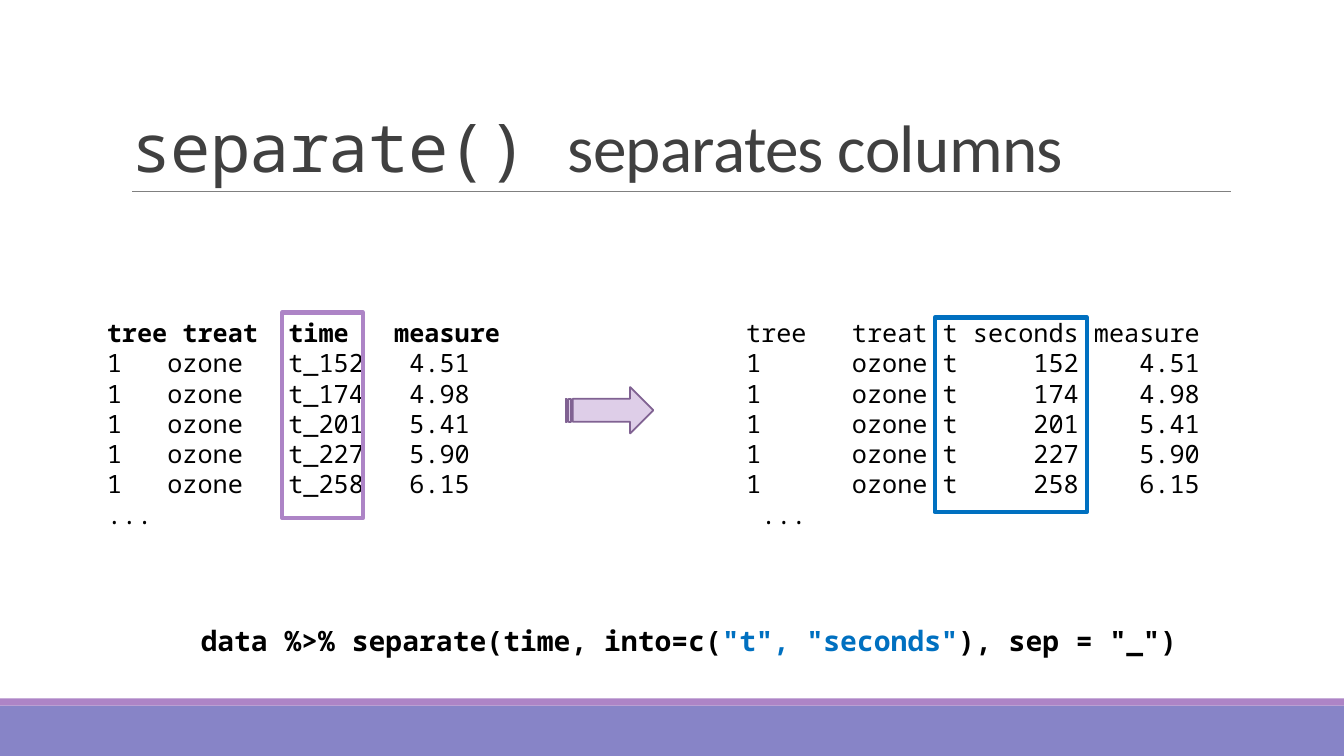
import dataclasses

import lxml.etree
import pptx
import pptx.dml.color
import pptx.enum.shapes
import pptx.enum.text
import pptx.oxml.ns
import pptx.util

PX = 9144  # EMU in one px, 100 px to the inch
CHARACTER = 15  # px, width of one monospaced character in the tables


@dataclasses.dataclass(frozen=True)
class Theme:
    mono: str = "Noto Sans Mono"
    sans: str = "Calibri"
    title_size: int = 48
    table_size: int = 18
    command_size: int = 20
    ink: str = "000000"
    title: str = "404040"
    rule: str = "808080"
    footer: str = "8784C7"
    accent: str = "AD84C6"
    arrow_fill: str = "DECEE8"
    arrow_line: str = "806292"
    highlight: str = "0070C0"


THEME = Theme()
MEASURES = [("152", "4.51"), ("174", "4.98"), ("201", "5.41"),
            ("227", "5.90"), ("258", "6.15")]


def px(*lengths):
    return [pptx.util.Emu(length * PX) for length in lengths]


def rgb(color):
    return pptx.dml.color.RGBColor.from_string(color)


def format_run(run, size, color, font=THEME.mono, bold=False):
    run.font.name = font
    run.font.size = pptx.util.Pt(size)
    run.font.bold = bold
    run.font.color.rgb = rgb(color)


def add_shape(slide, kind, box, fill=None, line=None, width=0):
    shape = slide.shapes.add_shape(kind, *px(*box))
    shape.shadow.inherit = False
    if fill:
        shape.fill.solid()
        shape.fill.fore_color.rgb = rgb(fill)
    else:
        shape.fill.background()
    if line:
        shape.line.color.rgb = rgb(line)
        shape.line.width = pptx.util.Pt(width)
    else:
        shape.line.fill.background()
    return shape


def add_rectangle(slide, box, **style):
    return add_shape(slide, pptx.enum.shapes.MSO_SHAPE.RECTANGLE, box, **style)


def add_text_frame(slide, box):
    text_frame = slide.shapes.add_textbox(*px(*box)).text_frame
    text_frame.word_wrap = True
    return text_frame


def set_tabs(paragraph, stops):
    """Stops are pairs of character column and alignment."""
    properties = paragraph._p.get_or_add_pPr()
    tab_list = lxml.etree.SubElement(properties, pptx.oxml.ns.qn("a:tabLst"))
    for column, alignment in stops:
        lxml.etree.SubElement(tab_list, pptx.oxml.ns.qn("a:tab"),
                              pos=str(column * CHARACTER * PX), algn=alignment)


def add_background(slide, box):
    left, top, width, height = box
    bottom = top + height
    add_rectangle(slide, (left, bottom - 50, width, 50), fill=THEME.footer)
    add_rectangle(slide, (left, bottom - 57, width, 7), fill=THEME.accent)


def add_title(slide, box):
    left, top, width, height = box
    title = slide.shapes.title
    title.left, title.top, title.width, title.height = px(*box)
    text_frame = title.text_frame
    text_frame.auto_size = pptx.enum.text.MSO_AUTO_SIZE.NONE
    text_frame.vertical_anchor = pptx.enum.text.MSO_ANCHOR.BOTTOM
    paragraph = text_frame.paragraphs[0]
    paragraph.alignment = pptx.enum.text.PP_ALIGN.LEFT
    paragraph.line_spacing = 0.85
    for text, font in (("separate() ", THEME.mono),
                       ("separates columns", THEME.sans)):
        run = paragraph.add_run()
        run.text = text
        format_run(run, THEME.title_size, THEME.title, font)
        run._r.get_or_add_rPr().set("spc", "-50")

    # Rule under the title
    bottom = top + height
    rule = slide.shapes.add_connector(
        pptx.enum.shapes.MSO_CONNECTOR.STRAIGHT,
        *px(left + 11, bottom, left + width + 1, bottom))
    rule.line.color.rgb = rgb(THEME.rule)
    rule.line.width = pptx.util.Pt(0.5)
    lxml.etree.SubElement(rule._element.spPr, pptx.oxml.ns.qn("a:effectLst"))


def add_data_table(slide, box, inset, rows, header_stops, row_stops,
                   bold_header=False, ellipsis_indent=0):
    text_frame = add_text_frame(slide, box)
    text_frame.margin_left = px(inset)[0]
    text_frame.text = "\n".join(["\t".join(row) for row in rows] + ["..."])
    for index, paragraph in enumerate(text_frame.paragraphs):
        paragraph.line_spacing = pptx.util.Pt(THEME.table_size * 1.2)
        if index < len(rows):
            set_tabs(paragraph, row_stops if index else header_stops)
        else:
            paragraph._p.get_or_add_pPr().set(
                "marL", str(ellipsis_indent * CHARACTER * PX))
        for run in paragraph.runs:
            format_run(run, THEME.table_size, THEME.ink,
                       bold=bold_header and index == 0)


def add_input_table(slide, box):
    left, top, width, height = box
    rows = [("tree", "treat", "time", "measure")]
    rows += [("1", "ozone", f"t_{seconds}", value) for seconds, value in MEASURES]
    add_data_table(slide, box, 60, rows,
                   header_stops=[(5, "l"), (12, "l"), (19, "l")],
                   row_stops=[(4, "l"), (12, "l"), (20, "l")],
                   bold_header=True)
    # Frame around the time column
    add_rectangle(slide, (left + 234, top, 80, 204), line=THEME.accent, width=3)


def add_output_table(slide, box):
    left, top, width, height = box
    rows = [("tree", "treat", "t", "seconds", "measure")]
    rows += [("1", "ozone", "t", *measure) for measure in MEASURES]
    stops = [(7, "l"), (13, "l"), (22, "r"), (30, "r")]
    add_data_table(slide, box, 70, rows, stops, stops, ellipsis_indent=1)
    # Frame around the two new columns
    add_rectangle(slide, (left + 257, top + 5, 151, 193),
                  line=THEME.highlight, width=3)


def add_arrow(slide, box):
    add_shape(slide, pptx.enum.shapes.MSO_SHAPE.STRIPED_RIGHT_ARROW, box,
              fill=THEME.arrow_fill, line=THEME.arrow_line, width=1.25)


def add_command(slide, box):
    paragraph = add_text_frame(slide, box).paragraphs[0]
    paragraph.line_spacing = pptx.util.Pt(THEME.command_size * 1.2)
    for text, color in (("data %>% separate(time, into=c(", THEME.ink),
                        ('"t", "seconds"', THEME.highlight),
                        ('), sep = "_")', THEME.ink)):
        run = paragraph.add_run()
        run.text = text
        format_run(run, THEME.command_size, color, bold=True)


def main():
    presentation = pptx.Presentation()
    presentation.slide_width, presentation.slide_height = px(1333, 750)
    title_only = presentation.slide_layouts.get_by_name("Title Only")
    slide = presentation.slides.add_slide(title_only)
    add_background(slide, (0, 0, 1333, 750))
    add_title(slide, (120, 31, 1100, 159))
    add_input_table(slide, (46, 310, 514, 252))
    add_arrow(slide, (561, 384, 87, 46))
    add_output_table(slide, (670, 310, 644, 252))
    add_command(slide, (189, 614, 1069, 43))
    presentation.save("out.pptx")


if __name__ == "__main__":
    main()
